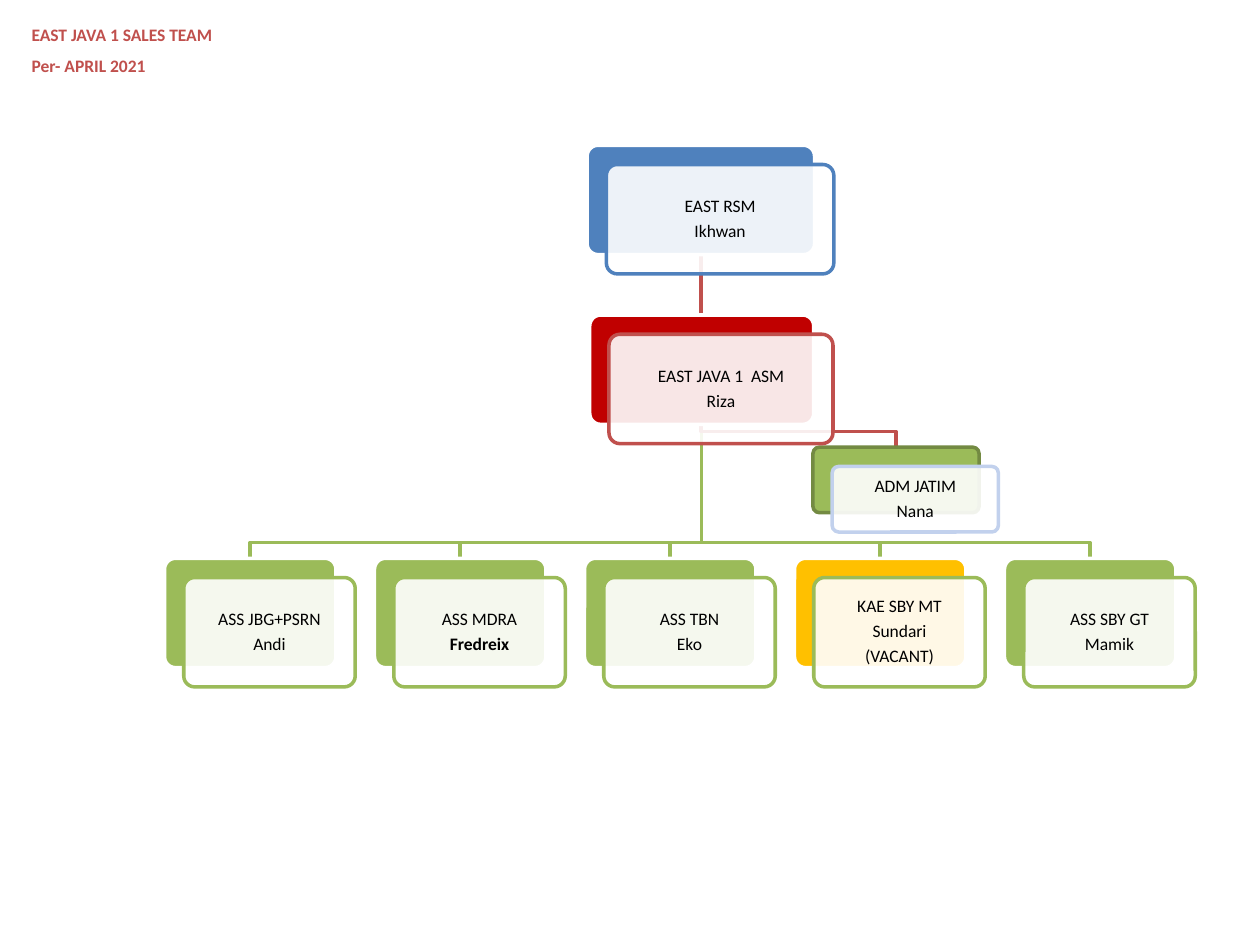
from collections import namedtuple

from lxml.etree import SubElement
from pptx import Presentation
from pptx.dml.color import RGBColor
from pptx.enum.shapes import MSO_SHAPE as SHAPE
from pptx.enum.text import MSO_ANCHOR as ANCHOR, PP_ALIGN as ALIGN
from pptx.oxml.ns import qn
from pptx.util import Pt

WHITE = RGBColor(0xFF, 0xFF, 0xFF)
BLACK = RGBColor(0, 0, 0)
BLUE = RGBColor(0x4F, 0x81, 0xBD)
PALE_BLUE = RGBColor(0xC2, 0xD1, 0xED)
RED = RGBColor(0xC0, 0x50, 0x4D)
DARK_RED = RGBColor(0xC0, 0, 0)
GREEN = RGBColor(0x9B, 0xBB, 0x59)
DARK_GREEN = RGBColor(0x73, 0x8A, 0x42)
AMBER = RGBColor(0xFF, 0xC0, 0)

FONT = "Calibri"
OFFSET = 11
DROP = 9

Box = namedtuple("Box", "left top width height")


def style_paragraph(p, color, bold=False):
    for r in p.runs:
        r.font.name = FONT
        r.font.size = Pt(10)
        r.font.bold = bold
        r.font.color.rgb = color


def add_title(s, box, text):
    tf = s.shapes.add_textbox(*map(Pt, box)).text_frame
    tf.word_wrap = True
    tf.text = text
    for p in tf.paragraphs:
        p.space_before = Pt(6)
        style_paragraph(p, RED, True)


def add_link(s, parent, child, color):
    x1, y1 = parent.left + parent.width / 2, parent.top + parent.height
    x2, y2 = child.left + child.width / 2, child.top
    bend = y2 - DROP
    points = [(x1, bend), (x2, bend), (x2, y2)]
    builder = s.shapes.build_freeform(Pt(x1), Pt(y1))
    builder.add_line_segments([(Pt(x), Pt(y)) for x, y in points], close=False)
    sp = builder.convert_to_shape()
    sp.shadow.inherit = False
    sp.fill.background()
    sp.line.color.rgb = color
    sp.line.width = Pt(2)


def add_panel(s, box, fill, line):
    sp = s.shapes.add_shape(SHAPE.ROUNDED_RECTANGLE, *map(Pt, box))
    sp.adjustments[0] = 0.1
    sp.shadow.inherit = False
    sp.fill.solid()
    sp.fill.fore_color.rgb = fill
    sp.line.color.rgb = line
    sp.line.width = Pt(2)
    return sp


def add_card(s, box, text, fill, front_line, back_line=WHITE, bold_name=False):
    add_panel(s, box, fill, back_line)
    front = box._replace(left=box.left + OFFSET, top=box.top + OFFSET)
    sp = add_panel(s, front, WHITE, front_line)
    color = sp._element.spPr.find(qn("a:solidFill"))[0]
    SubElement(color, qn("a:alpha"), val="90000")
    tf = sp.text_frame
    tf.word_wrap = True
    tf.vertical_anchor = ANCHOR.MIDDLE
    tf.margin_left = tf.margin_right = tf.margin_top = tf.margin_bottom = Pt(3)
    tf.text = text
    for i, p in enumerate(tf.paragraphs):
        p.alignment = ALIGN.CENTER
        p.line_spacing = 0.9
        p.space_after = Pt(3.5)
        style_paragraph(p, BLACK, bold_name and i == 1)


def add_chart_tree(s, box):
    left, top = box.left, box.top
    regional = Box(left + 241.5, top, 130, 62.5)
    area = Box(left + 243, top + 97, 128, 62.5)
    admin = Box(left + 370.5, top + 172.5, 95, 37.5)
    members = [
        ("ASS JBG+PSRN\nAndi", GREEN, False),
        ("ASS MDRA\nFredreix", GREEN, True),
        ("ASS TBN\nEko", GREEN, False),
        ("KAE SBY MT\nSundari\n(VACANT)", AMBER, False),
        ("ASS SBY GT\nMamik", GREEN, False),
    ]
    width = 98
    step = (box.width - OFFSET - width) / (len(members) - 1)
    team = [Box(left + i * step, top + 236, width, 62.5)
            for i in range(len(members))]

    for member in team:
        add_link(s, area, member, GREEN)
    for child in (area, admin):
        add_link(s, regional, child, RED)

    add_card(s, regional, "EAST RSM\nIkhwan", BLUE, BLUE)
    add_card(s, admin, "ADM JATIM\nNana", GREEN, PALE_BLUE, DARK_GREEN)
    add_card(s, area, "EAST JAVA 1  ASM\nRiza", DARK_RED, RED)
    for member, (text, fill, bold_name) in zip(team, members):
        add_card(s, member, text, fill, GREEN, bold_name=bold_name)


def main():
    prs = Presentation()
    prs.slide_width, prs.slide_height = Pt(720), Pt(540)
    s = prs.slides.add_slide(prs.slide_layouts[6])
    add_title(s, Box(11, 10, 693, 76), "EAST JAVA 1 SALES TEAM\nPer- APRIL 2021")
    add_chart_tree(s, Box(94, 83, 589, 309.5))
    prs.save("out.pptx")


if __name__ == "__main__":
    main()
